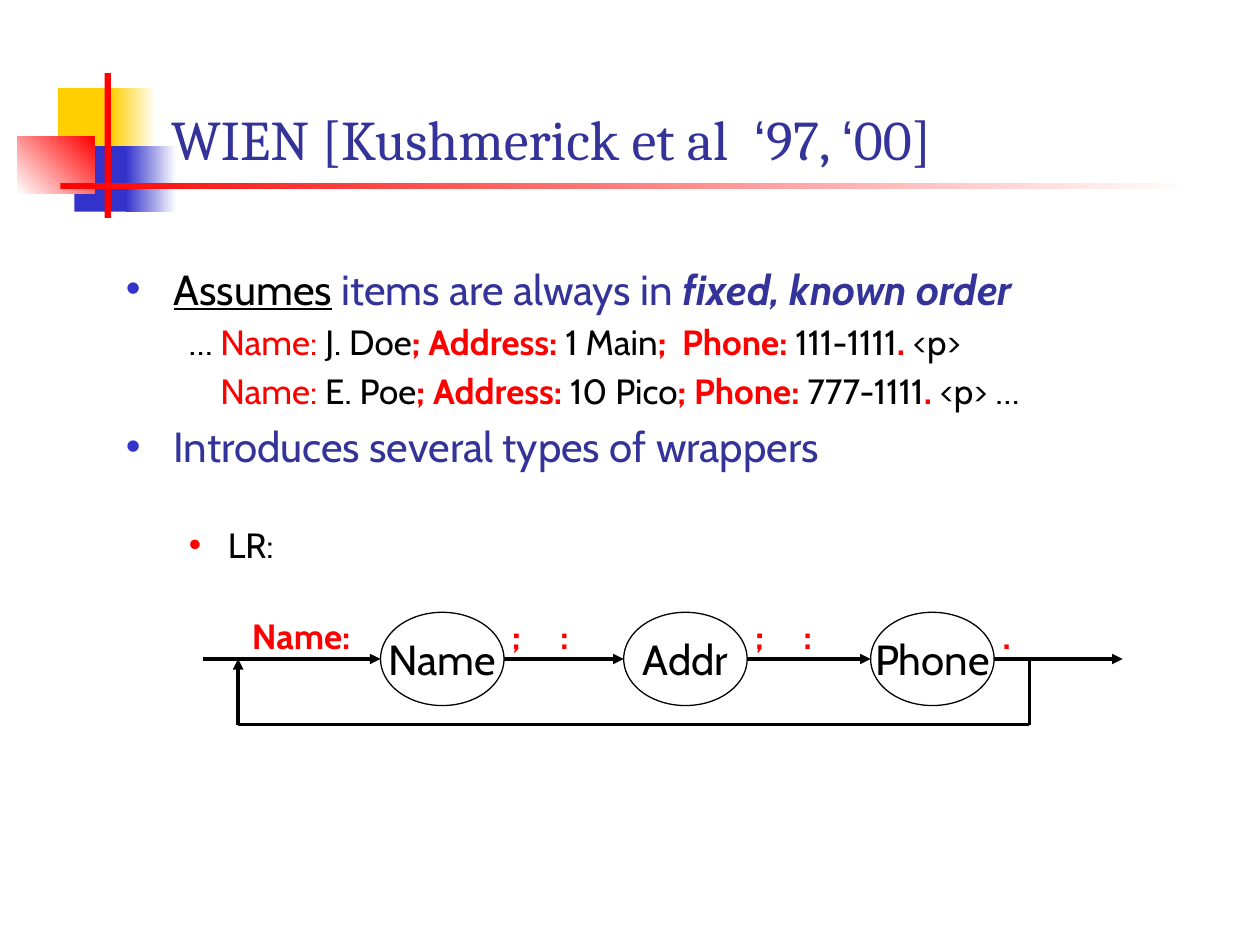
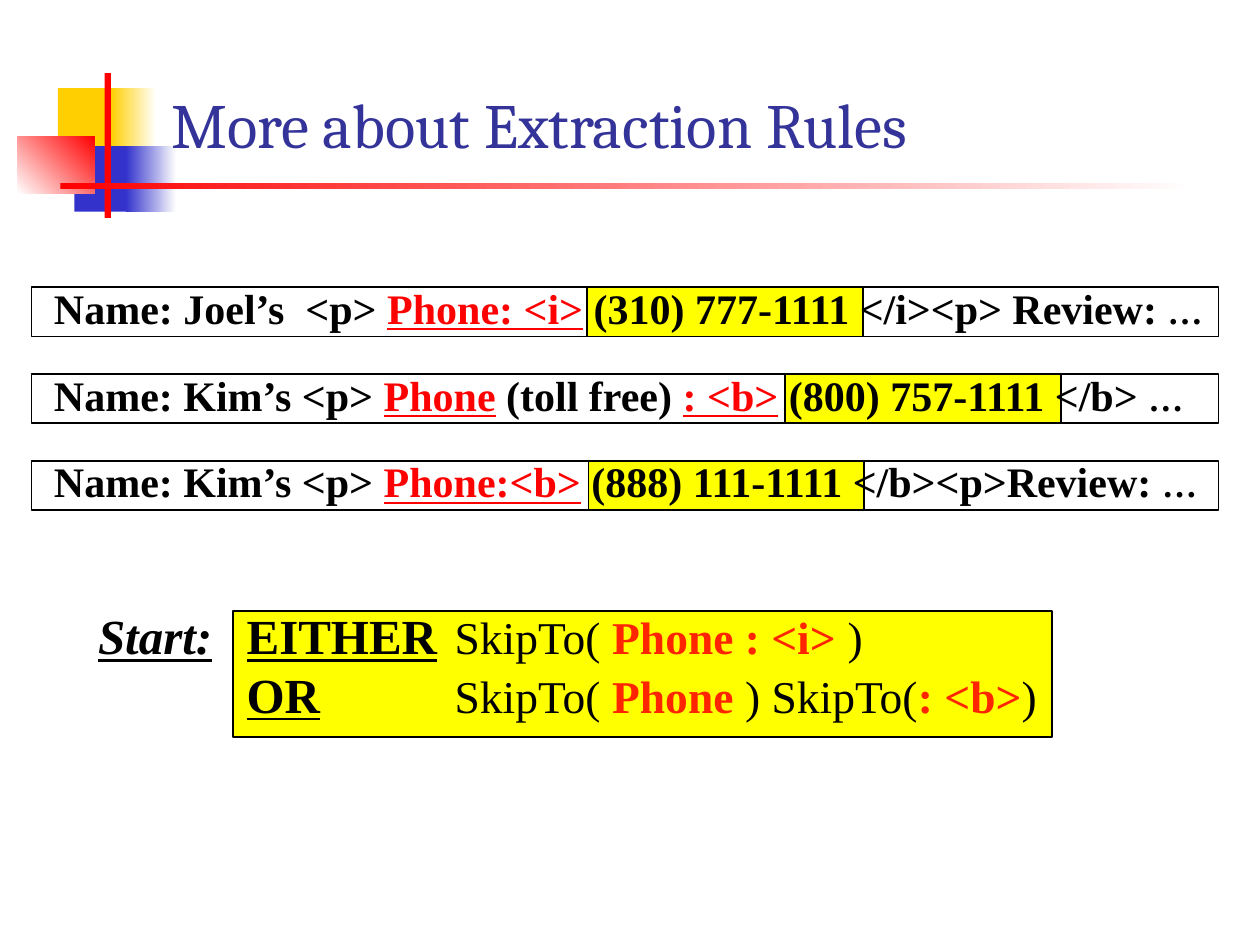
from lxml import etree
from pptx import Presentation
from pptx.dml.color import RGBColor
from pptx.enum import shapes, text
from pptx.oxml import ns
from pptx.util import Inches, Pt

BLACK, WHITE, RED, YELLOW = "000000", "FFFFFF", "FF0000", "FFFF00"
GOLD, BLUE, INDIGO, SCARLET = "FFCF01", "3333CC", "333399", "FF2501"
TITLE_FONT, BODY_FONT, RULE_FONT = "Cambria", "Cabin", "Times New Roman"

PLAIN = {}
MARK = {"color": RED}
BOLD_MARK = {"color": RED, "bold": True}
LANDMARK = {"color": RED, "underline": True}
KEYWORD = {"size": 28, "bold": True, "underline": True}
TARGET = {"color": SCARLET, "bold": True}


def rgb(value):
    """Turn a hex string into a colour."""
    return RGBColor.from_string(value)


def element(parent, tag, **attributes):
    """Append a drawing element to a parent."""
    return etree.SubElement(parent, ns.qn(tag), attributes)


def style(font, name=None, size=None, color=None, **flags):
    """Set the given properties of a font."""
    if name:
        font.name = name
    if size:
        font.size = Pt(size)
    if color:
        font.color.rgb = rgb(color)
    for flag, value in flags.items():
        setattr(font, flag, value)


def write(para, spans, **base):
    """Fill a paragraph with (words, look) spans over a base font."""
    style(para.font, **base)
    for words, look in spans:
        span = para.add_run()
        span.text = words
        style(span.font, **look)


def add_text(page, left, top, width, height, wrap=True, anchor=text.MSO_ANCHOR.TOP):
    """Add a text box and return its frame."""
    frame = page.shapes.add_textbox(*map(Inches, (left, top, width, height))).text_frame
    frame.word_wrap = wrap
    frame.vertical_anchor = anchor
    return frame


def add_block(page, left, top, width, height, fill=None, line=None, weight=1,
              kind=shapes.MSO_SHAPE.RECTANGLE, fade=None, angle=0):
    """Add a shape with a solid, fading or absent fill."""
    block = page.shapes.add_shape(kind, *map(Inches, (left, top, width, height)))
    block.shadow.inherit = False
    if fade:
        block.fill.gradient()
        block.fill.gradient_angle = angle
        for stop, color, position in zip(block.fill.gradient_stops, (fill, fade), (0, 1)):
            stop.color.rgb = rgb(color)
            stop.position = position
    elif fill:
        block.fill.solid()
        block.fill.fore_color.rgb = rgb(fill)
    else:
        block.fill.background()
    if line:
        block.line.color.rgb = rgb(line)
        block.line.width = Pt(weight)
    else:
        block.line.fill.background()
    return block


def add_line(page, x1, y1, x2, y2, arrow=True):
    """Add a straight black line, with an arrowhead at its end if asked."""
    line = page.shapes.add_connector(
        shapes.MSO_CONNECTOR.STRAIGHT, *map(Inches, (x1, y1, x2, y2)))
    line.line.color.rgb = rgb(BLACK)
    line.line.width = Pt(2)
    if arrow:
        element(line.line._get_or_add_ln(), "a:tailEnd", type="triangle")
    element(line._element.spPr, "a:effectLst")


def add_page(deck, title, top, size):
    """Add a page with the shared ornament and title."""
    page = deck.slides.add_slide(deck.slide_layouts[6])
    add_block(page, 0.46, 0.7, 0.48, 0.52, GOLD)
    add_block(page, 0.88, 0.7, 0.36, 0.52, GOLD, fade=WHITE)
    add_block(page, 0.59, 1.16, 0.46, 0.52, BLUE)
    add_block(page, 1, 1.16, 0.4, 0.52, BLUE, fade=WHITE)
    add_block(page, 0.14, 1.08, 0.61, 0.46, WHITE, fade=RED, angle=45)
    add_block(page, 0.83, 0.58, 0.05, 1.15, RED)
    add_block(page, 0.48, 1.45, 9, 0.05, RED, fade=WHITE)
    frame = add_text(page, 1.26, top, 8.52, 0.83, anchor=text.MSO_ANCHOR.BOTTOM)
    write(frame.paragraphs[0], title, name=TITLE_FONT, size=size, color=INDIGO)
    return page


def add_points(page, left, top, width, height):
    """Add the bulleted points and the sample records."""
    frame = add_text(page, left, top, width, height)
    point = {"size": 24, "color": INDIGO}
    detail = {"size": 20, "color": BLACK}
    rows = [
        (0.38, 0.38, 0, BLUE, point, [
            ("Assumes", {"color": BLACK, "underline": True}),
            (" items are always in ", PLAIN),
            ("fixed, known order", {"bold": True, "italic": True})]),
        (0.5, 0, 4, None, detail, [
            ("… ", PLAIN), ("Name:", MARK), (" J. Doe", PLAIN),
            ("; Address:", BOLD_MARK), (" 1 Main", PLAIN), (";  Phone:", BOLD_MARK),
            (" 111-1111", PLAIN), (".", BOLD_MARK), (" <p>", PLAIN)]),
        (0.75, 0, 4, None, detail, [
            ("Name:", MARK), (" E. Poe", PLAIN),
            ("; Address:", BOLD_MARK), (" 10 Pico", PLAIN), ("; Phone:", BOLD_MARK),
            (" 777-1111", PLAIN), (".", BOLD_MARK), (" <p> …", PLAIN)]),
        (0.38, 0.38, 5, BLUE, point, [("Introduces several types of wrappers", PLAIN)]),
        (0.81, 0.31, 30, RED, detail, [("LR:", PLAIN)]),
    ]
    for index, (margin, hang, before, bullet, base, spans) in enumerate(rows):
        para = frame.add_paragraph() if index else frame.paragraphs[0]
        para.space_before = Pt(before)
        props = para._p.get_or_add_pPr()
        props.set("marL", str(Inches(margin)))
        props.set("indent", str(-Inches(hang)))
        if bullet:
            element(element(props, "a:buClr"), "a:srgbClr", val=bullet)
            element(props, "a:buFont", typeface="Arial")
            element(props, "a:buChar", char="•")
        write(para, spans, name=BODY_FONT, **base)


def add_delimiter(page, words, center, top):
    """Add a bold red delimiter centred on a position."""
    width = 1.2 if len(words) > 1 else 0.3
    frame = add_text(page, center - width / 2, top, width, 0.43, wrap=False)
    para = frame.paragraphs[0]
    para.alignment = text.PP_ALIGN.CENTER
    write(para, [(words, PLAIN)], name=BODY_FONT, size=20, **BOLD_MARK)


def add_automaton(page, left, top):
    """Add the chain of field states with its return loop."""
    middle, bottom = top + 0.37, top + 0.89
    node_width, gap = 0.98, 0.1
    nodes = [("Name", 1.41, ";:"), ("Addr", 3.34, ";:"), ("Phone", 5.3, ".")]
    start = left
    for label, offset, delimiters in nodes:
        node_left = left + offset
        add_line(page, start, middle, node_left, middle)
        node = add_block(page, node_left, top, node_width, 0.74, line=BLACK, weight=0.75,
                         kind=shapes.MSO_SHAPE.OVAL)
        frame = node.text_frame
        frame.word_wrap = False
        frame.vertical_anchor = text.MSO_ANCHOR.MIDDLE
        para = frame.paragraphs[0]
        para.alignment = text.PP_ALIGN.CENTER
        write(para, [(label, PLAIN)], name=BODY_FONT, size=24, color=BLACK)
        start = node_left + node_width
        for step, delimiter in enumerate(delimiters):
            add_delimiter(page, delimiter, start + gap + 0.38 * step, top - 0.03)
    add_line(page, start, middle, left + 7.3, middle)
    add_delimiter(page, "Name:", left + 0.78, top - 0.03)
    loop_left, loop_right = left + 0.28, left + 6.56
    add_line(page, loop_right, middle, loop_right, bottom, arrow=False)
    add_line(page, loop_right, bottom, loop_left, bottom, arrow=False)
    add_line(page, loop_left, bottom, loop_left, middle)


def add_record(page, left, top, highlight, spans):
    """Add a framed record with its extracted phone number highlighted."""
    add_block(page, left, top, 9.42, 0.39, WHITE, BLACK)
    add_block(page, left + highlight, top, 2.19, 0.39, YELLOW, BLACK)
    frame = add_text(page, left + 0.08, top - 0.09, 9.6, 0.5)
    write(frame.paragraphs[0], spans + [("…", {"size": 20})],
          name=RULE_FONT, size=24, color=BLACK, bold=True)


def add_rule(page, left, top):
    """Add the start rule with its two alternatives."""
    add_block(page, left + 1.17, top + 0.09, 6.5, 1, YELLOW, BLACK)
    frame = add_text(page, left, top, 7.83, 1.03)
    alternatives = [
        [("Start:", {**KEYWORD, "italic": True}), ("\t", PLAIN), ("EITHER", KEYWORD),
         ("\tSkipTo( ", PLAIN), ("Phone : <i> ", TARGET), (")", PLAIN)],
        [("\t", PLAIN), ("OR", KEYWORD), ("\tSkipTo(", PLAIN), (" Phone ", TARGET),
         (") SkipTo(", PLAIN), (": <b>", TARGET), (")", PLAIN)],
    ]
    for index, spans in enumerate(alternatives):
        para = frame.add_paragraph() if index else frame.paragraphs[0]
        tabs = element(para._p.get_or_add_pPr(), "a:tabLst")
        for stop in (1.18, 2.83):
            element(tabs, "a:tab", pos=str(Inches(stop)), algn="l")
        write(para, spans, name=RULE_FONT, size=26, color=BLACK)


def build_wien(deck):
    """Build the page on the WIEN system."""
    quote = ("‘", {"name": "Arial"})
    title = [("WIEN [Kushmerick et al  ", PLAIN), quote, ("97, ", PLAIN), quote, ("00]", PLAIN)]
    page = add_page(deck, title, 0.58, 32)
    add_points(page, 0.9, 2.04, 9.1, 2.6)
    add_automaton(page, 1.61, 4.86)


def build_rules(deck):
    """Build the page on extraction rules."""
    page = add_page(deck, [("More about Extraction Rules", PLAIN)], 0.5, 36)
    records = [
        (4.41, [("Name: Joel’s  <p> ", PLAIN), ("Phone: <i>", LANDMARK),
                (" (310) 777-1111 </i><p> Review: ", PLAIN)]),
        (5.98, [("Name: Kim’s <p> ", PLAIN), ("Phone", LANDMARK), (" (toll free) ", PLAIN),
                (": <b>", LANDMARK), (" (800) 757-1111 </b> ", PLAIN)]),
        (4.42, [("Name: Kim’s <p> ", PLAIN), ("Phone:<b>", LANDMARK),
                (" (888) 111-1111 </b><p>Review: ", PLAIN)]),
    ]
    for row, (highlight, spans) in enumerate(records):
        add_record(page, 0.25, 2.28 + 0.69 * row, highlight, spans)
    add_rule(page, 0.68, 4.76)


def main():
    """Build the deck and save it."""
    deck = Presentation()
    deck.slide_width, deck.slide_height = Inches(10), Inches(7.5)
    build_wien(deck)
    build_rules(deck)
    deck.save("out.pptx")


if __name__ == "__main__":
    main()
